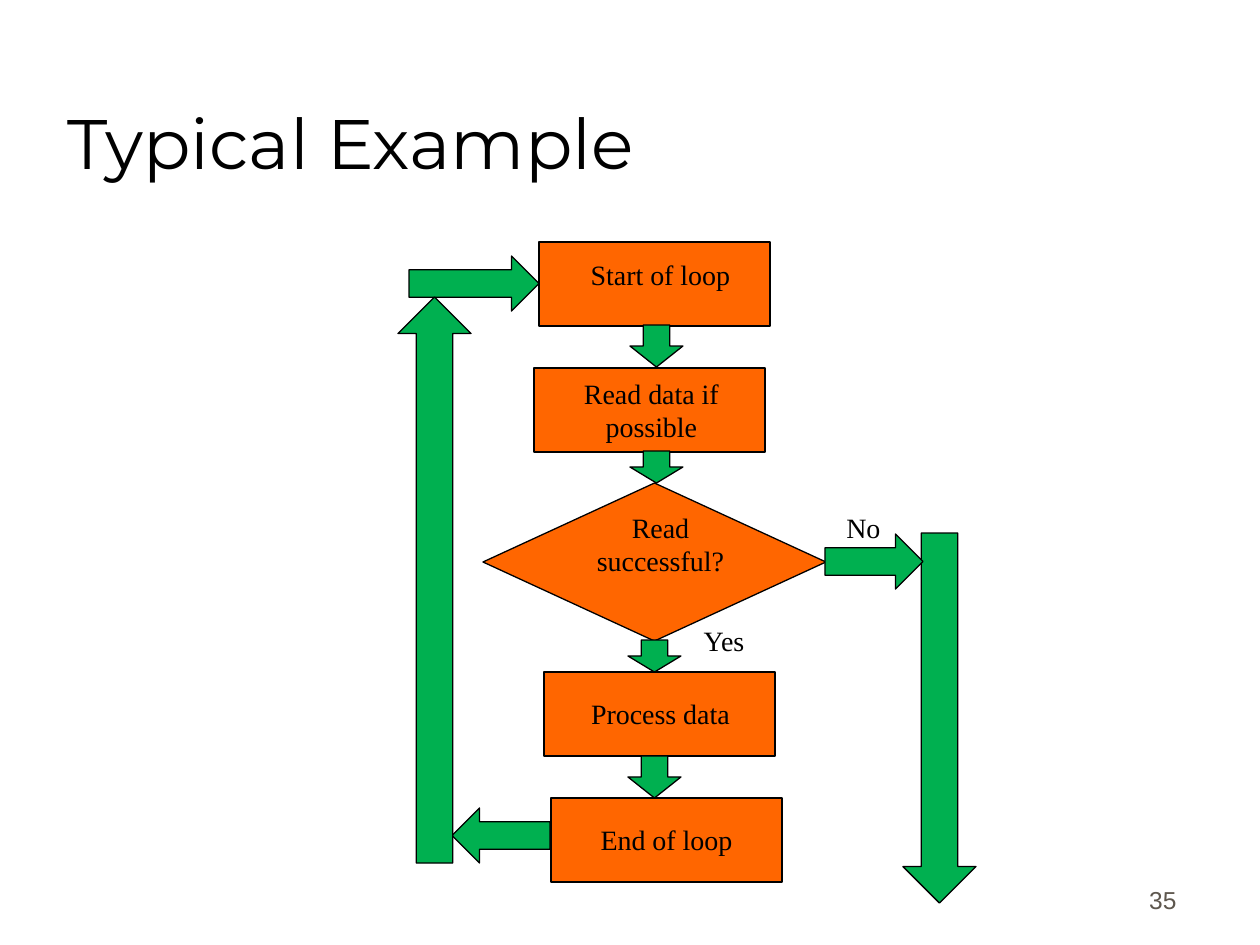
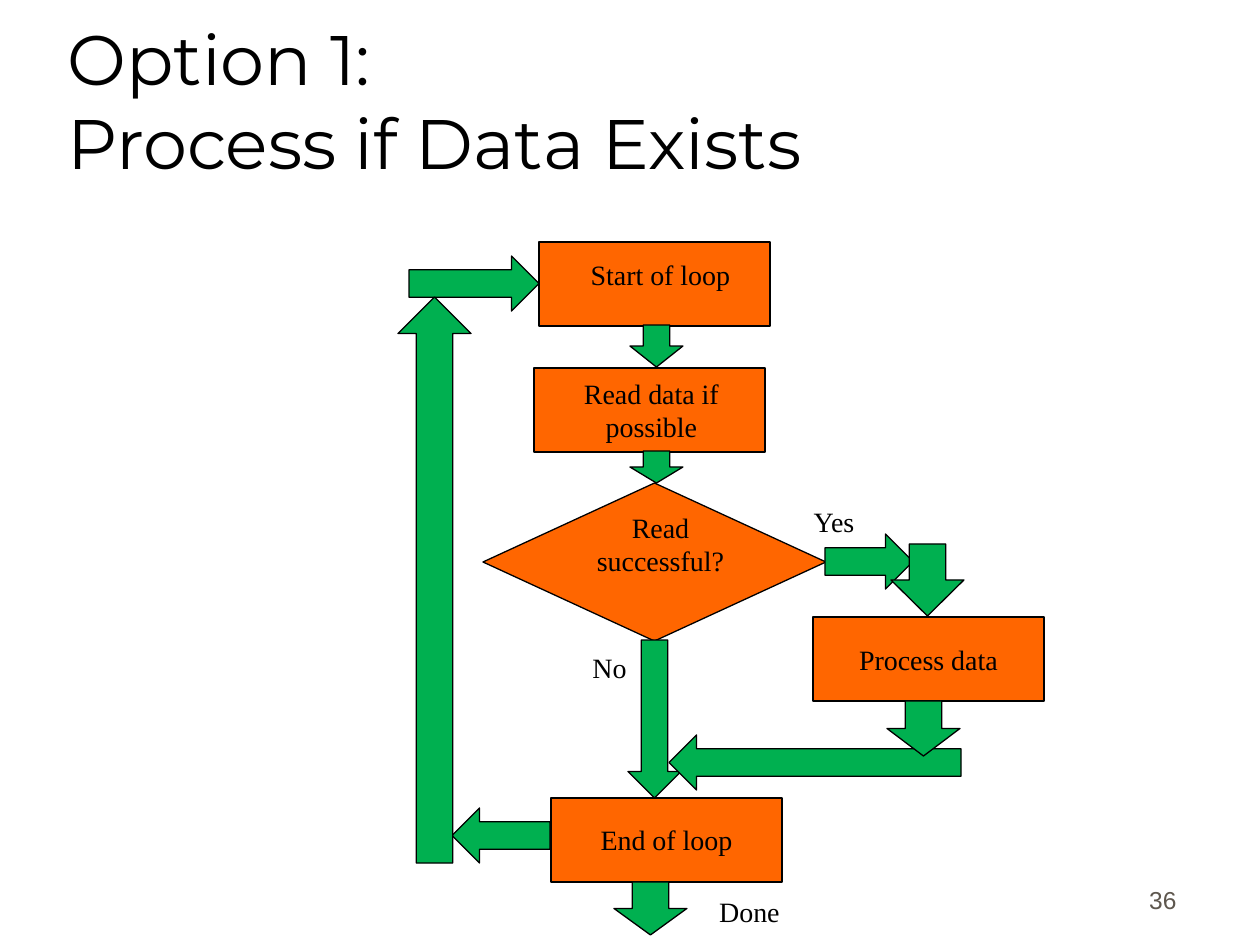
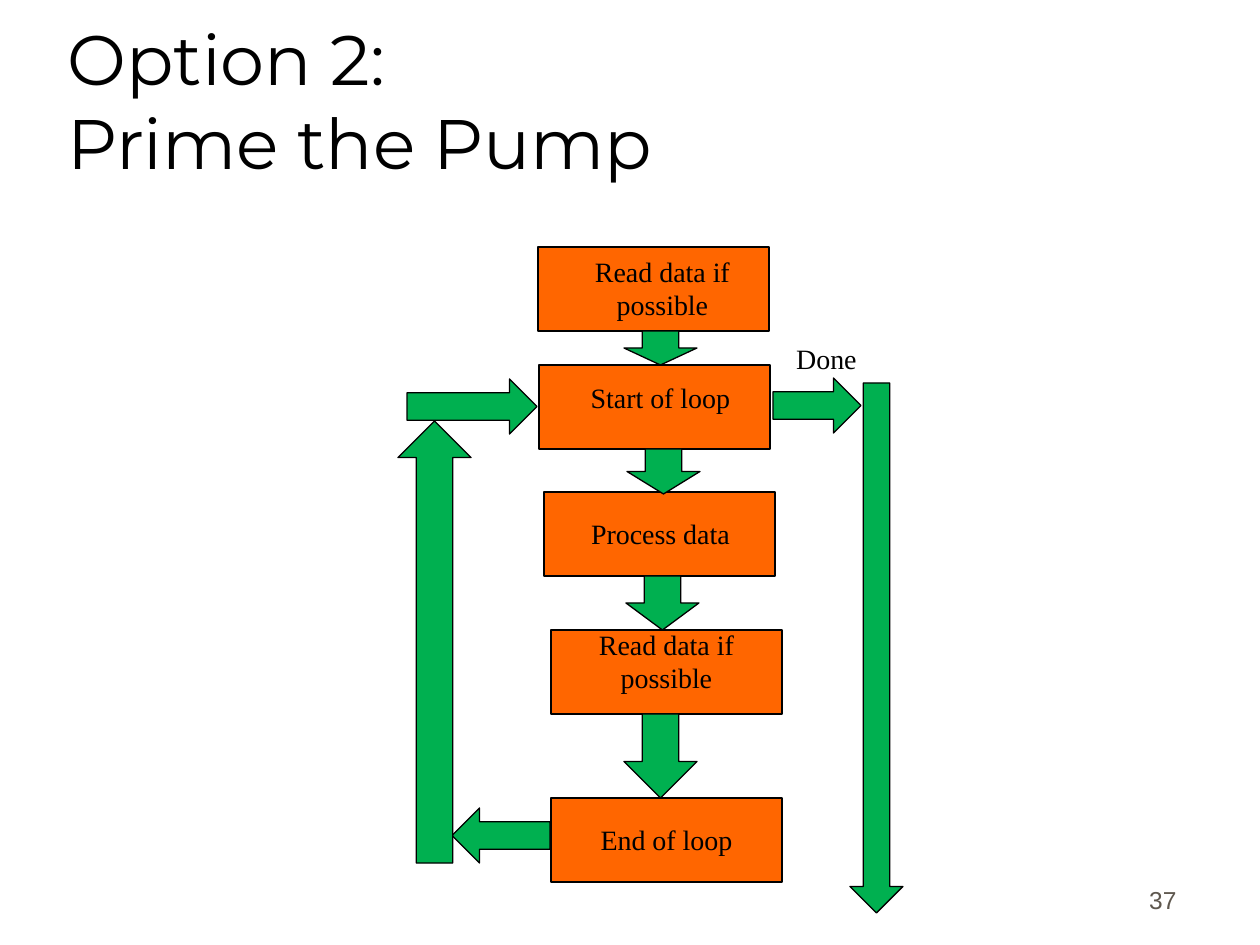
"""Build three slides of flowcharts about reading data in a loop."""
from pptx import Presentation
from pptx.dml.color import RGBColor
from pptx.enum.shapes import MSO_SHAPE
from pptx.enum.text import MSO_ANCHOR, MSO_AUTO_SIZE, PP_ALIGN
from pptx.util import Emu, Pt

PROCESS = MSO_SHAPE.FLOWCHART_PROCESS
DECISION = MSO_SHAPE.FLOWCHART_DECISION
RIGHT_ARROW, DOWN_ARROW = MSO_SHAPE.RIGHT_ARROW, MSO_SHAPE.DOWN_ARROW
BOTTOM, TOP = MSO_ANCHOR.BOTTOM, MSO_ANCHOR.TOP
LEFT, CENTER, RIGHT = PP_ALIGN.LEFT, PP_ALIGN.CENTER, PP_ALIGN.RIGHT
NO_FIT, GROW = MSO_AUTO_SIZE.NONE, MSO_AUTO_SIZE.SHAPE_TO_FIT_TEXT

BLACK = RGBColor(0x00, 0x00, 0x00)
ORANGE = RGBColor(0xFF, 0x66, 0x00)
GREEN = RGBColor(0x00, 0xB0, 0x50)
GREY = RGBColor(0x5E, 0x57, 0x4E)

TITLE_FONT, LABEL_FONT, NUMBER_FONT = "Montserrat", "Times New Roman", "Arial"
PX_PER_INCH = 126
SLIDE_SIZE = (1260, 945)
TITLE_AT = (55, 32, 1071, 158)
NUMBER_AT = (927, 858, 262, 63)
FIRST_NUMBER = 35
STEP_SIZES = {PROCESS: (231, 84), DECISION: (343, 158)}
STEP_TEXT_WIDTH = 179
LABEL_HEIGHT = 47
ARROW_KINDS = {
    "right": (RIGHT_ARROW, 0),
    "left": (RIGHT_ARROW, 180),
    "down": (DOWN_ARROW, 0),
    "up": (DOWN_ARROW, 180),
}

# Steps: kind, left, top, text, text left, text top.
END_STEP = (PROCESS, 551, 798, "End of loop", 577, 816)
READ_STEPS = [
    (PROCESS, 539, 242, "Start of loop", 571, 251),
    (DECISION, 483, 483, "Read successful?", 571, 504),
    (PROCESS, 534, 368, "Read data if possible", 562, 370),
    END_STEP,
]
# Arrows: direction, left, top, width, height.
BACK_FROM_END = ("left", 452, 808, 98, 55)
READ_ARROWS = [
    ("down", 630, 325, 53, 42),
    ("down", 630, 451, 53, 32),
    ("right", 409, 256, 130, 55),
    BACK_FROM_END,
    ("up", 398, 297, 73, 566),
]

# Labels: text, left, top, width.
SLIDES = [
    {
        "title": ["Typical Example"],
        "steps": READ_STEPS + [(PROCESS, 544, 672, "Process data", 571, 690)],
        "arrows": READ_ARROWS + [
            ("down", 903, 533, 73, 370),
            ("down", 628, 640, 53, 32),
            ("down", 628, 756, 53, 42),
            ("right", 825, 534, 98, 55),
        ],
        "labels": [("No", 813, 504, 101), ("Yes", 683, 617, 82)],
    },
    {
        "title": ["Option 1:", "Process if Data Exists"],
        "steps": READ_STEPS + [(PROCESS, 813, 617, "Process data", 839, 636)],
        "arrows": READ_ARROWS + [
            ("down", 628, 640, 53, 158),
            ("right", 825, 534, 88, 55),
            ("left", 669, 735, 292, 55),
            ("down", 891, 544, 73, 72),
            ("down", 887, 701, 73, 55),
            ("down", 614, 882, 73, 53),
        ],
        "labels": [("No", 559, 644, 101), ("Yes", 793, 498, 82),
                   ("Done", 699, 888, 101)],
    },
    {
        "title": ["Option 2:", "Prime the Pump"],
        "steps": [
            (PROCESS, 539, 365, "Start of loop", 571, 374),
            (PROCESS, 538, 247, "Read data if possible", 573, 248),
            (PROCESS, 544, 492, "Process data", 571, 510),
            (PROCESS, 551, 630, "Read data if possible", 577, 621),
            END_STEP,
        ],
        "arrows": [
            ("down", 850, 383, 53, 530),
            ("right", 773, 378, 88, 55),
            ("right", 407, 379, 130, 55),
            BACK_FROM_END,
            ("up", 398, 421, 73, 442),
            ("down", 627, 449, 73, 45),
            ("down", 624, 331, 73, 34),
            ("down", 626, 576, 73, 54),
            ("down", 624, 714, 73, 84),
        ],
        "labels": [("Done", 776, 335, 101)],
    },
]


def px(*lengths):
    """Turn px lengths into EMU."""
    return [Emu(round(n * 914400 / PX_PER_INCH)) for n in lengths]


def write(shape, lines, font, size, color, align, anchor, fit):
    """Fill a shape with one paragraph of lines."""
    tf = shape.text_frame
    tf.word_wrap = True
    tf.auto_size = fit
    tf.vertical_anchor = anchor
    p = tf.paragraphs[0]
    p.alignment = align
    for i, line in enumerate(lines):
        if i:
            p.add_line_break()
        r = p.add_run()
        r.text = line
        r.font.name = font
        r.font.size = Pt(size)
        r.font.color.rgb = color


def add_title(s, lines):
    """Place and format the title placeholder."""
    title = s.shapes.title
    title.left, title.top, title.width, title.height = px(*TITLE_AT)
    write(title, lines, TITLE_FONT, 40, BLACK, LEFT, BOTTOM, NO_FIT)


def add_number(s, number):
    """Add the slide number."""
    box = s.shapes.add_textbox(*px(*NUMBER_AT))
    write(box, [str(number)], NUMBER_FONT, 14, GREY, RIGHT, BOTTOM, NO_FIT)


def add_label(s, text, left, top, width):
    """Add a centred chart label."""
    box = s.shapes.add_textbox(*px(left, top, width, LABEL_HEIGHT))
    write(box, [text], LABEL_FONT, 16, BLACK, CENTER, TOP, GROW)


def add_outlined(s, kind, at, color):
    """Add a filled shape with a thin black outline."""
    shape = s.shapes.add_shape(kind, *px(*at))
    shape.shadow.inherit = False
    shape.fill.solid()
    shape.fill.fore_color.rgb = color
    shape.line.color.rgb = BLACK
    shape.line.width = Pt(0.75)
    return shape


def main():
    """Build and save the presentation."""
    prs = Presentation()
    prs.slide_width, prs.slide_height = px(*SLIDE_SIZE)
    for number, content in enumerate(SLIDES, FIRST_NUMBER):
        s = prs.slides.add_slide(prs.slide_layouts[5])
        add_title(s, content["title"])
        add_number(s, number)
        for kind, left, top, text, text_left, text_top in content["steps"]:
            add_outlined(s, kind, (left, top, *STEP_SIZES[kind]), ORANGE)
            add_label(s, text, text_left, text_top, STEP_TEXT_WIDTH)
        for direction, *at in content["arrows"]:
            kind, angle = ARROW_KINDS[direction]
            add_outlined(s, kind, at, GREEN).rotation = angle
        for label in content["labels"]:
            add_label(s, *label)
    prs.save("out.pptx")


if __name__ == "__main__":
    main()
